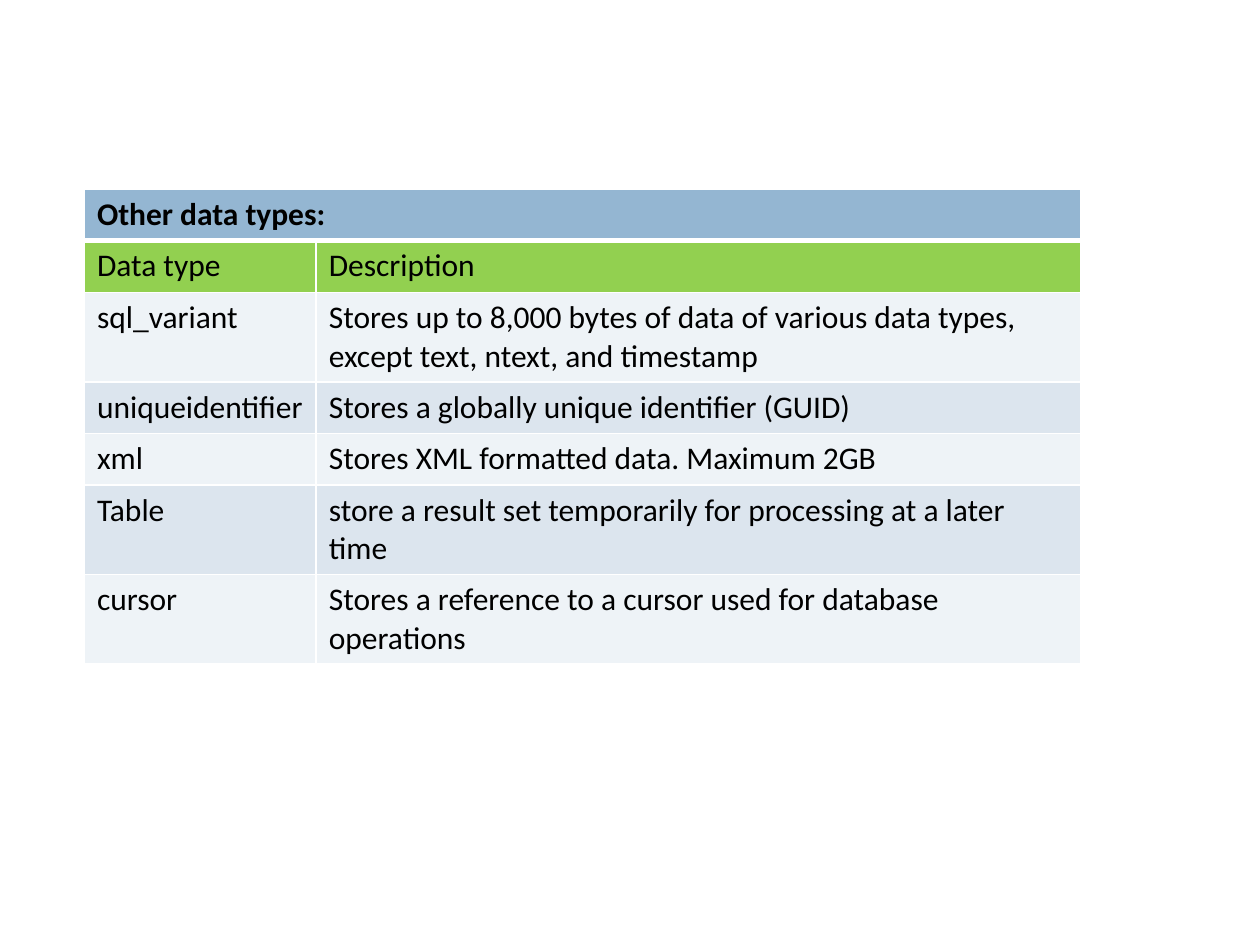
from lxml import etree
from pptx import Presentation
from pptx.dml.color import RGBColor
from pptx.oxml import ns
from pptx.util import Inches, Pt

COLORS = {
    "title": "94B6D2",
    "header": "92D050",
    "light": "EEF3F7",
    "dark": "DCE5EE",
    "border": "FFFFFF",
    "text": "000000",
}
TITLE = "Other data types:"
ROWS = [
    ("Data type", "Description"),
    ("sql_variant", "Stores up to 8,000 bytes of data of various data types, "
                    "except text, ntext, and timestamp"),
    ("uniqueidentifier", "Stores a globally unique identifier (GUID)"),
    ("xml", "Stores XML formatted data. Maximum 2GB"),
    ("Table", "store a result set temporarily for processing at a later time"),
    ("cursor", "Stores a reference to a cursor used for database operations"),
]


def set_borders(cell, top=1, bottom=1):
    """Draw the four cell borders; widths are in points."""
    tc_pr = cell._tc.get_or_add_tcPr()
    sides = {"lnL": 1, "lnR": 1, "lnT": top, "lnB": bottom}
    for i, (side, width) in enumerate(sides.items()):
        ln = etree.Element(ns.qn(f"a:{side}"), w=str(Pt(width)))
        fill = etree.SubElement(ln, ns.qn("a:solidFill"))
        etree.SubElement(fill, ns.qn("a:srgbClr"), val=COLORS["border"])
        tc_pr.insert(i, ln)


def fill_cell(cell, content, color, bold=False):
    cell.fill.solid()
    cell.fill.fore_color.rgb = RGBColor.from_string(COLORS[color])
    if content:
        r = cell.text_frame.paragraphs[0].add_run()
        r.text = content
        r.font.name = "Calibri"
        r.font.size = Pt(18)
        r.font.bold = bold
        r.font.color.rgb = RGBColor.from_string(COLORS["text"])


def add_types_table(s, left, top, width, row_height):
    count = len(ROWS) + 1
    name_width = Inches(1.84)
    table = s.shapes.add_table(count, 2, left, top, width, row_height * count).table
    table.columns[0].width = name_width
    table.columns[1].width = width - name_width

    for col, content in enumerate((TITLE, "")):
        cell = table.cell(0, col)
        fill_cell(cell, content, "title", bold=True)
        set_borders(cell, bottom=3)
    table.cell(0, 0).merge(table.cell(0, 1))

    for row, values in enumerate(ROWS, start=1):
        color = "header" if row == 1 else ("light", "dark")[row % 2]
        for col, content in enumerate(values):
            cell = table.cell(row, col)
            fill_cell(cell, content, color)
            set_borders(cell, top=3 if row == 1 else 1)


def main():
    prs = Presentation()
    prs.slide_width, prs.slide_height = Inches(10), Inches(7.5)
    s = prs.slides.add_slide(prs.slide_layouts[6])
    add_types_table(s, Inches(0.67), Inches(1.5), Inches(7.91), Inches(0.41))
    prs.save("out.pptx")


if __name__ == "__main__":
    main()
